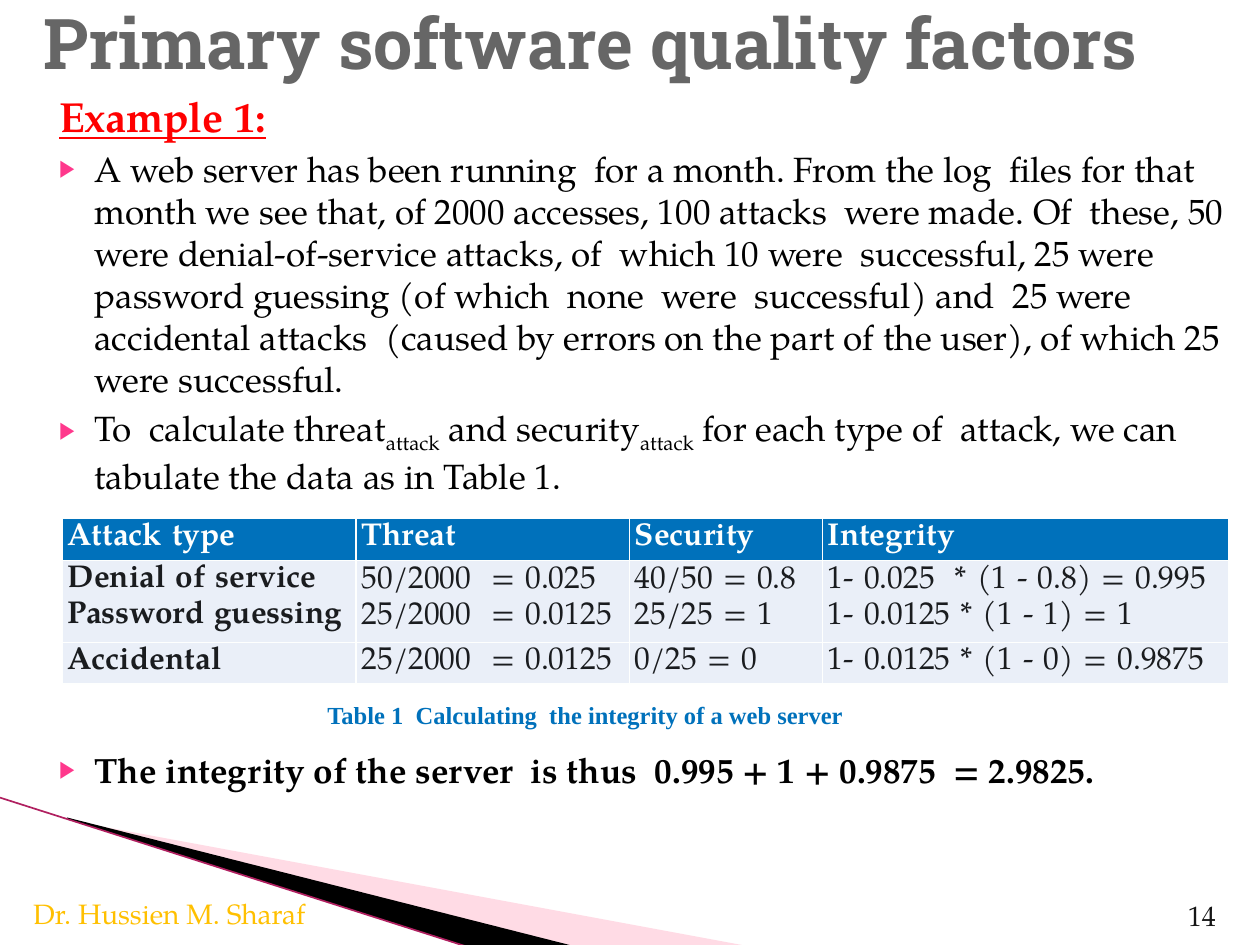
from dataclasses import dataclass
from itertools import groupby

from lxml import etree
from pptx import Presentation
from pptx import util as u
from pptx.dml.color import RGBColor
from pptx.enum import text as t
from pptx.oxml import ns

SERIF = "TeX Gyre Pagella"
BLUE, WHITE, BLACK = "0071BB", "FEFFFE", "000000"
Box = tuple[float, float, float, float]


@dataclass
class Point:
    pieces: list[str]  # every second piece is a subscript
    size: int = 20
    color: str = BLACK
    bold: bool = False
    underline: bool = False
    bullet: bool = True
    before: float = 4


@dataclass
class Label:
    words: str
    box: Box
    size: int
    color: str
    font: str = SERIF
    bold: bool = False
    align: t.PP_ALIGN = t.PP_ALIGN.LEFT
    wrap: bool = True


@dataclass
class Wedge:
    frame: Box  # the outline reaches beyond its frame
    corners: list[tuple[float, float]]
    color: str
    opacity: int = 100


def rgb(code: str) -> RGBColor:
    return RGBColor.from_string(code)


def child(parent, tag: str, **attributes: str):
    return etree.SubElement(parent, ns.qn(tag), attributes)


def style(paragraph, size: int, color: str, font: str = SERIF, bold: bool = False) -> None:
    for run in paragraph.runs:
        run.font.size, run.font.name, run.font.bold = u.Pt(size), font, bold
        run.font.color.rgb = rgb(color)


def place(shape, box: Box) -> None:
    shape.left, shape.top, shape.width, shape.height = map(u.Cm, box)


def reframe(shape, frame: Box) -> None:
    """Move the frame of a freeform while its outline stays in place."""
    shift_x, shift_y = shape.left - u.Cm(frame[0]), shape.top - u.Cm(frame[1])
    for corner in shape._element.iter(ns.qn("a:pt")):
        corner.set("x", str(int(corner.get("x")) + shift_x))
        corner.set("y", str(int(corner.get("y")) + shift_y))
    outline = shape._element.find(".//" + ns.qn("a:path"))
    outline.set("w", str(u.Cm(frame[2])))
    outline.set("h", str(u.Cm(frame[3])))
    place(shape, frame)


def draw_wedge(slide, wedge: Wedge) -> None:
    points = [(u.Cm(x), u.Cm(y)) for x, y in wedge.corners]
    builder = slide.shapes.build_freeform(*points[0], scale=1.0)
    builder.add_line_segments(points[1:], close=True)
    shape = builder.convert_to_shape()
    reframe(shape, wedge.frame)
    shape.shadow.inherit = False
    shape.line.fill.background()
    shape.fill.solid()
    shape.fill.fore_color.rgb = rgb(wedge.color)
    if wedge.opacity < 100:
        fill_color = shape._element.spPr.find(".//" + ns.qn("a:srgbClr"))
        child(fill_color, "a:alpha", val=str(wedge.opacity * 1000))


def write_point(paragraph, point: Point) -> None:
    for index, piece in enumerate(point.pieces):
        run = paragraph.add_run()
        run.text = piece
        run.font.underline = point.underline
        if index % 2:
            run._r.get_or_add_rPr().set("baseline", "-25000")
    style(paragraph, point.size, point.color, bold=point.bold)
    paragraph.space_before = u.Pt(point.before)
    props = paragraph._p.get_or_add_pPr()
    props.set("marL", str(u.Cm(1.02)))
    props.set("indent", str(u.Cm(-0.71)))
    if point.bullet:
        child(child(props, "a:buClr"), "a:srgbClr", val="FF388C")
        child(props, "a:buSzPct", val="68000")
        child(props, "a:buChar", char="▶")
    else:
        child(props, "a:buNone")


def draw_label(slide, label: Label) -> None:
    box = slide.shapes.add_textbox(*map(u.Cm, label.box))
    frame = box.text_frame
    frame.word_wrap = label.wrap
    frame.text = label.words
    frame.paragraphs[0].alignment = label.align
    style(frame.paragraphs[0], label.size, label.color, label.font, label.bold)


def add_borders(cell) -> None:
    props = cell._tc.get_or_add_tcPr()
    for index, side in enumerate(("a:lnL", "a:lnR", "a:lnT", "a:lnB")):
        line = etree.Element(ns.qn(side), w=str(u.Pt(1)))
        child(child(line, "a:solidFill"), "a:srgbClr", val=WHITE)
        props.insert(index, line)


def widen_gaps(paragraph) -> None:
    """Give the spaces between words a little extra width."""
    words = paragraph.text
    paragraph.clear()
    for is_gap, letters in groupby(words, str.isspace):
        run = paragraph.add_run()
        run.text = "".join(letters)
        if is_gap:
            run._r.get_or_add_rPr().set("spc", "120")


def fill_cell(cell, words: str, header: bool, bold: bool) -> None:
    cell.margin_left = cell.margin_right = cell.margin_top = cell.margin_bottom = 0
    cell.fill.solid()
    cell.fill.fore_color.rgb = rgb(BLUE if header else "EAEFF8")
    add_borders(cell)
    cell.text_frame.text = words
    for index, paragraph in enumerate(cell.text_frame.paragraphs):
        widen_gaps(paragraph)
        paragraph.line_spacing = 1.15
        paragraph.space_before = u.Pt(0 if index else 3.3)
        paragraph._p.get_or_add_pPr().set("marL", str(u.Cm(0.11)))
        style(paragraph, 18, WHITE if header else "1A1C1F", bold=bold)


deck = Presentation()
deck.slide_width, deck.slide_height = u.Cm(25.4), u.Cm(19.05)
slide = deck.slides.add_slide(deck.slide_layouts[1])

# Corner decoration
WEDGES = [
    Wedge((1.98, 13.89, 10.57, 4.01),
          [(1.4, 16.54), (15.11, 19.08), (11.58, 19.08), (1.4, 16.51)], "FFA5BF", 40),
    Wedge((-0.15, 16.08, 10.57, 2.34),
          [(1.35, 16.48), (11.6, 19.08), (9.45, 19.1), (1.37, 16.51)], BLACK),
]
for wedge in WEDGES:
    draw_wedge(slide, wedge)
edge = slide.shapes.add_connector(1, 0, u.Cm(16.08), u.Cm(9.4), u.Cm(19.08))
edge.line.color.rgb = rgb("B02060")
edge.line.width = u.Pt(0.95)
child(edge._element.spPr, "a:effectLst")

# Title
title = slide.shapes.title
place(title, (0.62, 0, 24.76, 1.68))
title.text_frame.text = "Primary software quality factors"
title.text_frame.auto_size = t.MSO_AUTO_SIZE.NONE
title.text_frame.vertical_anchor = t.MSO_ANCHOR.MIDDLE
title.text_frame.paragraphs[0].alignment = t.PP_ALIGN.LEFT
style(title.text_frame.paragraphs[0], 40, "666666", "Roboto Slab", True)

# Example text; the last point leaves room for the table
POINTS = [
    Point(["Example 1:"], 24, "FF0000", bold=True, underline=True, bullet=False),
    Point(["A web server has been running  for a month. From the log  ﬁles for that month "
           "we see that, of 2000 accesses, 100 attacks  were made. Of  these, 50 were "
           "denial-of-service attacks, of  which 10 were  successful, 25 were password "
           "guessing (of which  none  were  successful) and  25 were accidental attacks  "
           "(caused by errors on the part of the user), of which 25 were successful."]),
    Point(["To  calculate threat", "attack", " and security", "attack",
           " for each type of  attack, we can tabulate the data as in Table 1."]),
    Point(["The integrity of the server  is thus  0.995 + 1 + 0.9875  = 2.9825."],
          bold=True, before=144),
]
example = slide.placeholders[1]
place(example, (0.63, 1.69, 24.76, 15.24))
example.text_frame.auto_size = t.MSO_AUTO_SIZE.NONE
for index, point in enumerate(POINTS):
    frame = example.text_frame
    write_point(frame.add_paragraph() if index else frame.paragraphs[0], point)

# Integrity table
COLUMNS = [5.92, 5.51, 3.89, 8.18]
HEIGHTS = [0.85, 1.65, 0.84]
ROWS = [
    ["Attack type", "Threat", "Security", "Integrity"],
    ["Denial of service\nPassword guessing", "50/2000  = 0.025\n25/2000  = 0.0125",
     "40/50 = 0.8\n25/25 = 1", "1- 0.025  * (1 - 0.8) = 0.995\n1- 0.0125 * (1 - 1) = 1"],
    ["Accidental", "25/2000  = 0.0125", "0/25 = 0", "1- 0.0125 * (1 - 0) = 0.9875"],
]
integrity = slide.shapes.add_table(len(ROWS), len(COLUMNS), u.Cm(1.26), u.Cm(10.45),
                                   u.Cm(sum(COLUMNS)), u.Cm(sum(HEIGHTS))).table
for column, width in zip(integrity.columns, COLUMNS):
    column.width = u.Cm(width)
for r, (height, row) in enumerate(zip(HEIGHTS, ROWS)):
    integrity.rows[r].height = u.Cm(height)
    for c, words in enumerate(row):
        fill_cell(integrity.cell(r, c), words, header=r == 0, bold=r == 0 or c == 0)

# Caption and footer
LABELS = [
    Label("Table 1  Calculating  the integrity of a web server", (6.35, 13.98, 11, 0.86),
          14, BLUE, "Times New Roman", bold=True, wrap=False),
    Label("14", (22.65, 17.98, 2.11, 0.69), 16, "151515", align=t.PP_ALIGN.RIGHT),
    Label("Dr. Hussien M. Sharaf", (0.42, 17.94, 6.99, 0.81), 16, "FFC000"),
]
for label in LABELS:
    draw_label(slide, label)

deck.save("out.pptx")
